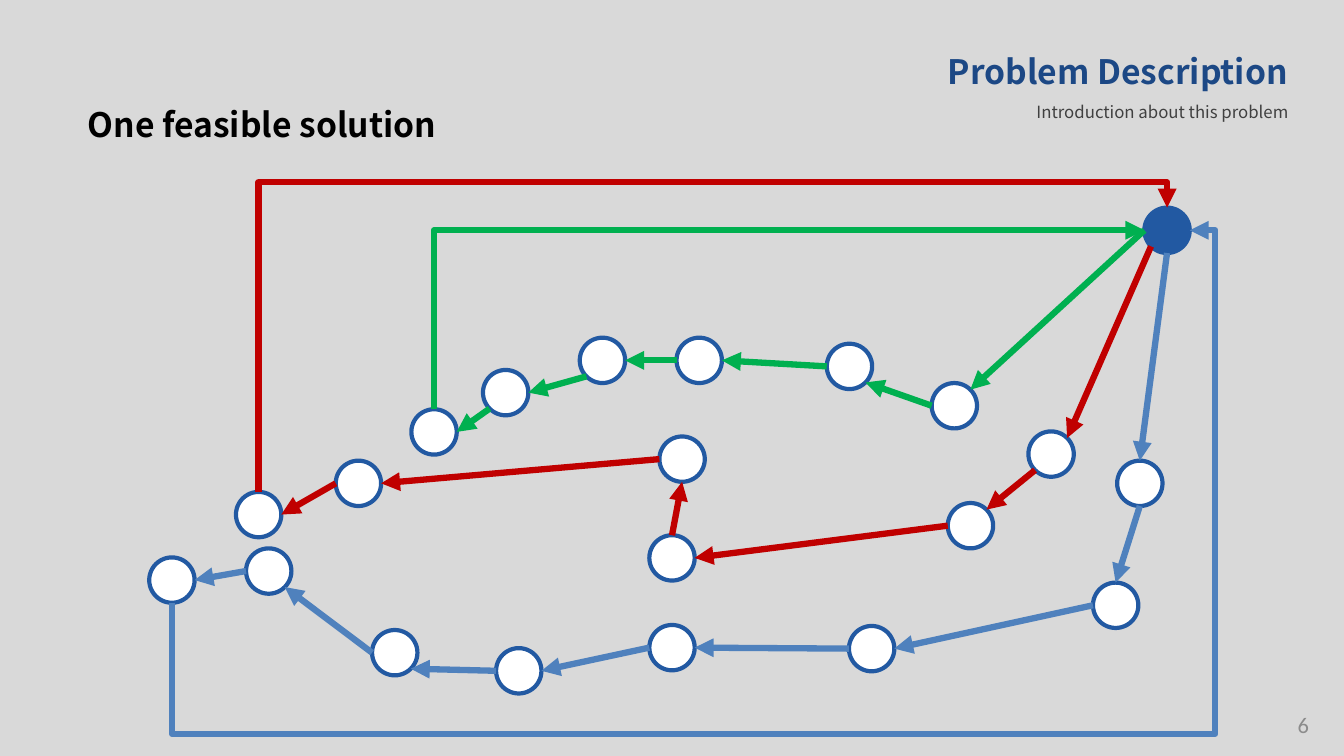
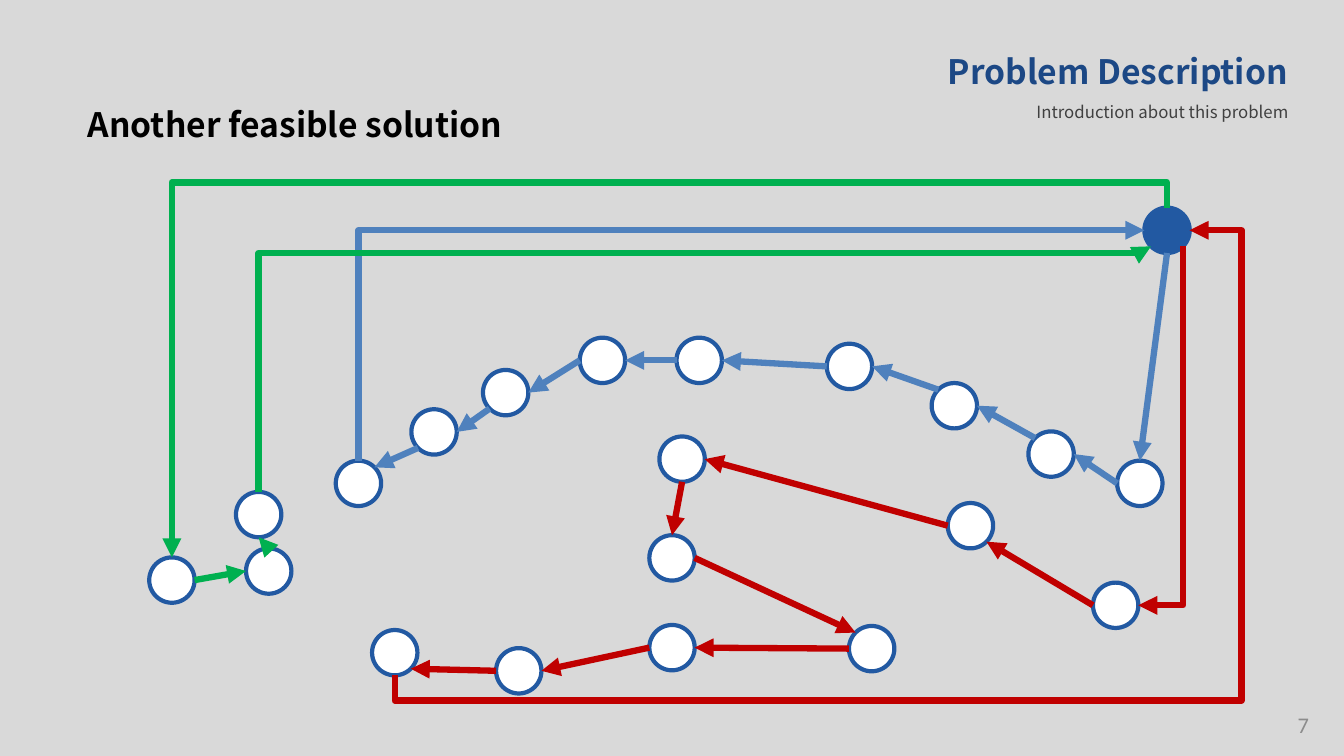
from math import cos, radians, sin

from lxml import etree
from pptx import Presentation
from pptx.dml.color import RGBColor
from pptx.enum.shapes import MSO_CONNECTOR, MSO_SHAPE
from pptx.enum.text import MSO_ANCHOR, MSO_AUTO_SIZE, PP_ALIGN
from pptx.oxml.ns import qn
from pptx.util import Inches, Pt

OVAL = MSO_SHAPE.OVAL
STRAIGHT, ELBOW = MSO_CONNECTOR.STRAIGHT, MSO_CONNECTOR.ELBOW
LEFT, RIGHT = PP_ALIGN.LEFT, PP_ALIGN.RIGHT
TOP, MIDDLE = MSO_ANCHOR.TOP, MSO_ANCHOR.MIDDLE

# Theme: colours, type and line sizes
SANS = "Noto Sans CJK SC"
THEME = {
    "back": RGBColor(0xD9, 0xD9, 0xD9),
    "white": RGBColor(0xFF, 0xFF, 0xFF),
    "ring": RGBColor(0x22, 0x59, 0xA2),
    "blue": RGBColor(0x4F, 0x81, 0xBD),
    "red": RGBColor(0xC0, 0x00, 0x00),
    "green": RGBColor(0x00, 0xB0, 0x50),
    "ring_pt": Pt(3),
    "route_pt": Pt(4.5),
    "title": {"name": SANS, "size": Pt(24), "bold": True, "color": RGBColor(0, 0, 0)},
    "head": {"name": SANS, "size": Pt(24), "bold": True, "color": RGBColor(0x1C, 0x48, 0x85)},
    "sub": {"name": SANS, "size": Pt(12), "bold": False, "color": RGBColor(0x40, 0x40, 0x40)},
    "page": {"name": "Calibri", "size": Pt(16), "bold": False, "color": RGBColor(0x8C, 0x8C, 0x8C)},
}

# Stops: left and top of each circle; z is the depot
SIZE = 0.45
STOPS = {
    "a": (4.08, 4.06), "b": (4.79, 3.67), "c": (6.71, 3.35), "d": (5.75, 3.35),
    "e": (6.54, 4.33), "f": (6.44, 6.2), "g": (3.33, 4.57), "h": (2.34, 4.88),
    "i": (8.2, 3.41), "j": (9.24, 3.8), "k": (10.84, 5.78), "l": (8.42, 6.21),
    "m": (9.4, 4.99), "n": (6.44, 5.31), "o": (3.69, 6.25), "p": (4.92, 6.43),
    "q": (11.08, 4.57), "r": (10.2, 4.28), "s": (1.48, 5.53), "t": (2.44, 5.44),
    "z": (11.35, 2.06),
}
# Connection sites of an oval, counted anticlockwise from the top
SITES = ["N", "NW", "W", "SW", "S", "SE", "E", "NE"]

# Each tour: colour, straight hops, bent hops with their lanes (y, then x)
SLIDES = [
    ("One feasible solution", "6", [
        ("blue", "zS-qN qS-kN kW-lE lW-fE fW-pE pW-oSE oW-tSE tW-sE", {"sS-zE": (7.28, 12.05)}),
        ("red", "zSW-rNE rSW-mNE mW-nE nN-eS eW-gE gW-hE", {"hN-zN": (1.81,)}),
        ("green", "zW-jNE jW-iSE iW-cE cW-dE dSW-bE bSW-aE", {"aN-zW": ()}),
    ]),
    ("Another feasible solution", "7", [
        ("blue", "zS-qN qW-rE rNW-jE jNW-iE iW-cE cW-dE dW-bE bSW-aE aSW-gNE", {"gN-zW": ()}),
        ("red", "kW-mSE mW-eE eS-nN nE-lNW lW-fE fW-pE pW-oSE",
         {"zSE-kE": (), "oS-zE": (6.95, 12.31)}),
        ("green", "sE-tW tN-hS", {"zN-sN": (1.81,), "hN-zSW": (2.51,)}),
    ]),
]


def write(box, text, place, style, align, anchor=TOP, space=1.0):
    box.left, box.top, box.width, box.height = map(Inches, place)
    frame = box.text_frame
    frame.text = text
    form = {"word_wrap": True, "auto_size": MSO_AUTO_SIZE.NONE, "vertical_anchor": anchor}
    for key, value in form.items():
        setattr(frame, key, value)
    para = frame.paragraphs[0]
    para.alignment, para.line_spacing = align, space
    for key, value in THEME[style].items():
        if key == "color":
            para.font.color.rgb = value
        else:
            setattr(para.font, key, value)


def link(slide, ovals, hop, color, lanes=None):
    ends, spots = [end[:1] for end in hop.split("-")], []
    sites = [SITES.index(end[1:]) for end in hop.split("-")]
    for name, site in zip(ends, sites):
        turn = radians(90 + 45 * site)
        left, top = STOPS[name]
        spots.append((left + SIZE / 2 * (1 + cos(turn)), top + SIZE / 2 * (1 - sin(turn))))
    (x1, y1), (x2, y2) = spots
    kind = STRAIGHT if lanes is None else ELBOW
    line = slide.shapes.add_connector(kind, *map(Inches, (x1, y1, x2, y2)))
    line.line.color.rgb, line.line.width = THEME[color], THEME["route_pt"]
    props = line._element.spPr
    if lanes is not None:
        # Turn the elbow so that it leaves its start vertically
        wide, high = abs(y2 - y1), abs(x2 - x1)
        line.left, line.top = Inches((x1 + x2 - wide) / 2), Inches((y1 + y2 - high) / 2)
        line.width, line.height = Inches(wide), Inches(high)
        frame = props.find(qn("a:xfrm"))
        for flip in ("flipH", "flipV"):
            frame.set(flip, "1" if x2 > x1 or len(lanes) else "0")
        frame.set("rot", str(60000 * (270 if y2 > y1 and lanes else 90)))
        shape = props.find(qn("a:prstGeom"))
        shape.set("prst", f"bentConnector{2 + len(lanes)}")
        marks = shape.find(qn("a:avLst"))
        for n, (lane, start, stop) in enumerate(zip(lanes, (y1, x1), (y2, x2)), 1):
            part = round(100000 * (lane - start) / (stop - start))
            etree.SubElement(marks, qn("a:gd"), name=f"adj{n}", fmla=f"val {part}")
    etree.SubElement(props.find(qn("a:ln")), qn("a:tailEnd"), type="triangle")
    etree.SubElement(props, qn("a:effectLst"))
    # Glue both ends to their circles
    glue = line._element.find(".//" + qn("p:cNvCxnSpPr"))
    for tag, name, site in zip(("a:stCxn", "a:endCxn"), ends, sites):
        etree.SubElement(glue, qn(tag), id=str(ovals[name].shape_id), idx=str(site))


deck = Presentation()
deck.slide_width, deck.slide_height = Inches(13.33), Inches(7.5)
back = deck.slide_master.background.fill
back.solid()
back.fore_color.rgb = THEME["back"]

for title, page, tours in SLIDES:
    slide = deck.slides.add_slide(deck.slide_layouts[5])

    # Title, section heading and page number
    write(slide.shapes.title, title, (0.77, 0.74, 5, 0.7), "title", LEFT, space=1.6)
    for text, place, style, anchor, space in [
        ("Problem Description", (9.22, 0.46, 3.65, 0.5), "head", TOP, 1.0),
        ("Introduction about this problem", (7.1, 0.86, 5.78, 0.37), "sub", TOP, 1.5),
        (page, (10.08, 6.99, 3, 0.4), "page", MIDDLE, 1.0),
    ]:
        box = slide.shapes.add_textbox(0, 0, 0, 0)
        write(box, text, place, style, RIGHT, anchor, space)

    # Stops and depot
    ovals = {}
    for name, (left, top) in STOPS.items():
        oval = slide.shapes.add_shape(OVAL, *map(Inches, (left, top, SIZE, SIZE)))
        oval.shadow.inherit = False
        oval.fill.solid()
        oval.fill.fore_color.rgb = THEME["ring" if name == "z" else "white"]
        oval.line.color.rgb, oval.line.width = THEME["ring"], THEME["ring_pt"]
        ovals[name] = oval

    # Tours
    for color, hops, bends in tours:
        for hop in hops.split():
            link(slide, ovals, hop, color)
        for hop, lanes in bends.items():
            link(slide, ovals, hop, color, lanes)

deck.save("out.pptx")
